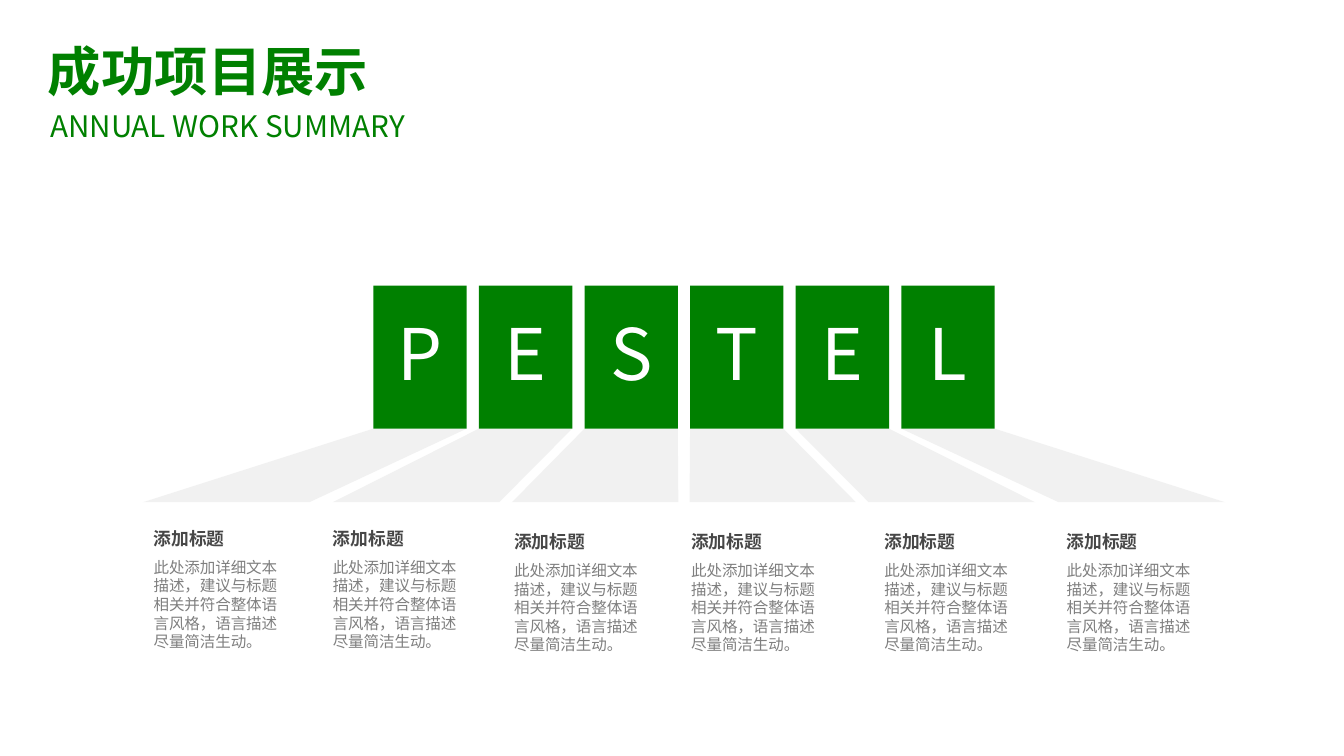
from dataclasses import dataclass

from lxml import etree
from pptx import Presentation
from pptx.dml.color import RGBColor
from pptx.enum.shapes import MSO_SHAPE
from pptx.enum.text import MSO_ANCHOR, MSO_AUTO_SIZE, PP_ALIGN
from pptx.oxml.ns import qn
from pptx.util import Inches, Pt

RECTANGLE = MSO_SHAPE.RECTANGLE
TOP, MIDDLE = MSO_ANCHOR.TOP, MSO_ANCHOR.MIDDLE
LEFT, CENTER = PP_ALIGN.LEFT, PP_ALIGN.CENTER
FIT_SHAPE, NO_FIT = MSO_AUTO_SIZE.SHAPE_TO_FIT_TEXT, MSO_AUTO_SIZE.NONE
TITLE_ONLY = 5


@dataclass(frozen=True)
class Theme:
    font: str = "Noto Sans CJK SC"
    green: str = "008000"
    floor: str = "F1F1F1"
    white: str = "FFFFFF"
    heading: str = "474747"
    body: str = "7F7F7F"
    letter_size: float = 48
    title_size: float = 36
    subtitle_size: float = 20
    heading_size: float = 12
    body_size: float = 10.5


THEME = Theme()

# Grid of 126 columns by 70.9 rows; every cell is a tenth of an inch
COLUMNS, ROWS = 126, 70.9

# Letter tiles
LETTERS = "PESTEL"
TILE_LEFT, TILE_TOP = 35, 26.8
TILE_WIDTH, TILE_HEIGHT, TILE_PITCH = 8.75, 13.4, 9.9
TILE_BOTTOM = TILE_TOP + TILE_HEIGHT
MIRROR_SUM = 2 * TILE_LEFT + 5 * TILE_PITCH + TILE_WIDTH

# Floor strips: the left half is mirrored to make the right half
FLOOR_LEFTS = (13.4, 31.2, 48)
FLOOR_WIDTH, FLOOR_BOTTOM = 15.6, 47.1

# Captions: left column and top row of each
CAPTIONS = ((14.4, 49.5), (31.2, 49.5), (48.2, 49.8),
            (64.8, 49.8), (82.9, 49.8), (100, 49.8))
CAPTION_WIDTH, HEADING_HEIGHT, BODY_DROP, BODY_HEIGHT = 12.9, 2, 2.8, 8.8
HEADING = "添加标题"
BODY = "此处添加详细文本描述，建议与标题相关并符合整体语言风格，语言描述尽量简洁生动。"


def cells(count):
    return Inches(count / 10)


def paint(shape, color):
    shape.shadow.inherit = False
    shape.fill.solid()
    shape.fill.fore_color.rgb = RGBColor.from_string(color)
    shape.line.fill.background()


def write(shape, text, size, color, bold=False, align=LEFT, anchor=TOP,
          side=0, edge=0, fit=FIT_SHAPE, spacing=1.0):
    frame = shape.text_frame
    frame.word_wrap = True
    frame.auto_size = fit
    frame.vertical_anchor = anchor
    frame.margin_left = frame.margin_right = cells(side)
    frame.margin_top = frame.margin_bottom = cells(edge)
    frame.text = text
    para = frame.paragraphs[0]
    para.alignment = align
    para.line_spacing = spacing
    para.space_before = Pt(0)
    font = para.font
    font.size, font.bold = Pt(size), bold
    font.color.rgb = RGBColor.from_string(color)
    font.name = THEME.font
    # Chinese characters take the East Asian typeface
    defaults = para._p.pPr.find(qn("a:defRPr"))
    etree.SubElement(defaults, qn("a:ea"), typeface=THEME.font)


def add_text(page, left, top, width, height, text, size, color, bold=False):
    box = page.shapes.add_textbox(*map(cells, (left, top, width, height)))
    write(box, text, size, color, bold)


def add_title(page):
    title = page.shapes.title
    title.left, title.top = cells(3.4), cells(3)
    title.width, title.height = cells(39.9), cells(7.2)
    write(title, "成功项目展示", THEME.title_size, THEME.green, bold=True,
          side=1.1, edge=0.6, fit=NO_FIT)
    add_text(page, 4.7, 10.1, 39.4, 3.4, "ANNUAL WORK SUMMARY",
             THEME.subtitle_size, THEME.green)


def add_floor(page, corners):
    points = [(cells(x), cells(y)) for x, y in corners]
    builder = page.shapes.build_freeform(*points[0])
    builder.add_line_segments(points[1:], close=True)
    paint(builder.convert_to_shape(), THEME.floor)


def add_tile(page, letter, left):
    tile = page.shapes.add_shape(
        RECTANGLE, *map(cells, (left, TILE_TOP, TILE_WIDTH, TILE_HEIGHT)))
    paint(tile, THEME.green)
    write(tile, letter, THEME.letter_size, THEME.white, align=CENTER,
          anchor=MIDDLE, edge=0.5, fit=NO_FIT, spacing=0.9)


def add_caption(page, left, top):
    add_text(page, left, top, CAPTION_WIDTH, HEADING_HEIGHT, HEADING,
             THEME.heading_size, THEME.heading, bold=True)
    add_text(page, left, top + BODY_DROP, CAPTION_WIDTH, BODY_HEIGHT, BODY,
             THEME.body_size, THEME.body)


def main():
    deck = Presentation()
    deck.slide_width, deck.slide_height = cells(COLUMNS), cells(ROWS)
    page = deck.slides.add_slide(deck.slide_layouts[TITLE_ONLY])
    add_title(page)

    # Floor strips, each with its mirrored partner
    for index, floor_left in enumerate(FLOOR_LEFTS):
        tile_left = TILE_LEFT + index * TILE_PITCH
        corners = [(tile_left, TILE_BOTTOM),
                   (tile_left + TILE_WIDTH, TILE_BOTTOM),
                   (floor_left + FLOOR_WIDTH, FLOOR_BOTTOM),
                   (floor_left, FLOOR_BOTTOM)]
        add_floor(page, corners)
        add_floor(page, [(MIRROR_SUM - x, y) for x, y in corners])

    # Letter tiles and the captions below them
    for index, letter in enumerate(LETTERS):
        add_tile(page, letter, TILE_LEFT + index * TILE_PITCH)
    for left, top in CAPTIONS:
        add_caption(page, left, top)

    deck.save("out.pptx")


if __name__ == "__main__":
    main()
